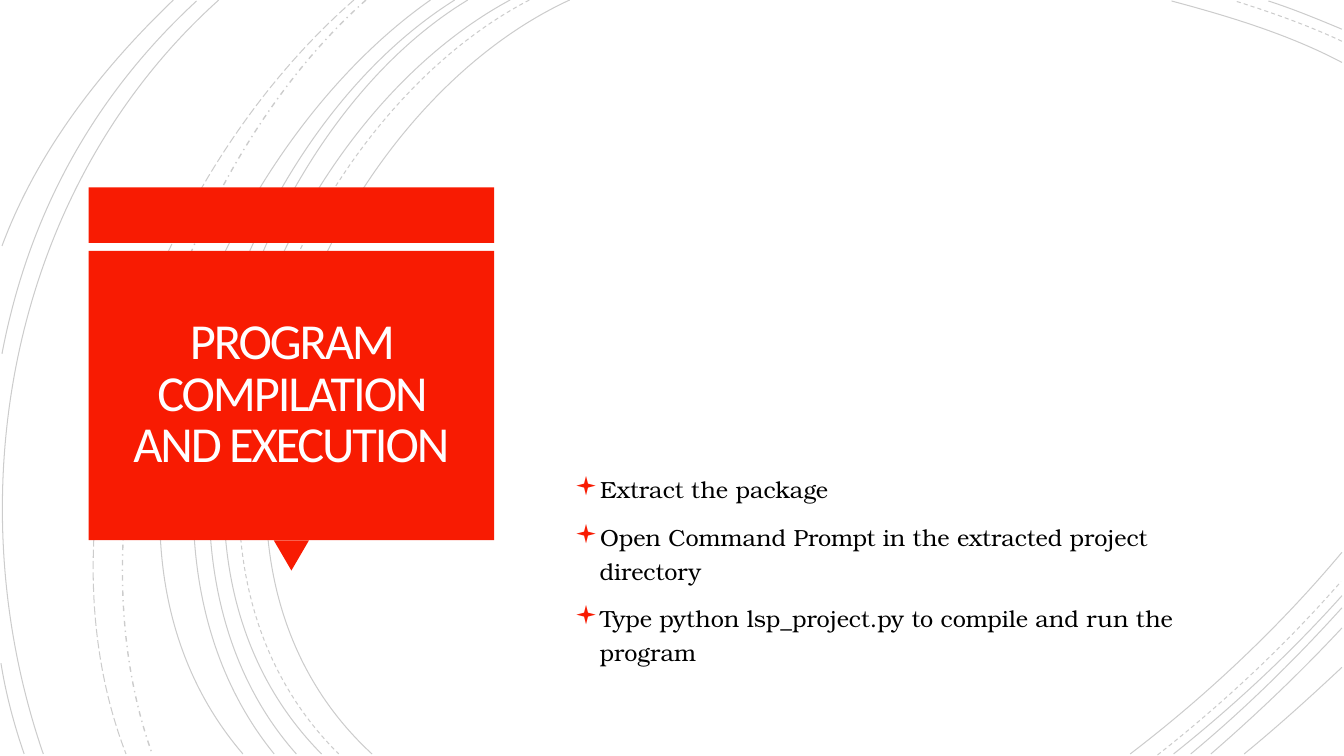
from lxml.etree import SubElement
from pptx import Presentation
from pptx.dml.color import RGBColor
from pptx.enum.dml import MSO_LINE
from pptx.enum.shapes import MSO_SHAPE
from pptx.enum.text import MSO_ANCHOR, PP_ALIGN
from pptx.oxml.ns import qn
from pptx.util import Inches, Pt

TITLE = "PROGRAM COMPILATION AND EXECUTION"
STEPS = [
    "Extract the package",
    "Open Command Prompt in the extracted project directory",
    "Type python lsp_project.py to compile and run the program",
]
COLORS = {"paper": "FFFFFF", "accent": "F81B02", "title": "FFFEFF", "ink": "000000"}
COLUMNS, ROWS = 13.33, 7.5

ARCS = {
    (MSO_LINE.SOLID, 0.75): [
        [(5.65, 0), (3.15, 1.15), (1.43, 5.4), (3.69, 7.48)],
        [(13.31, 0.62), (12.78, 0.34), (12.18, 0.16), (11.62, 0.01)],
        [(11.21, 7.48), (11.97, 6.9), (12.69, 6.22), (13.31, 5.48)],
        [(5.06, 0), (2.7, 1.27), (1.1, 5.37), (3.19, 7.48)],
        [(13.31, 0.29), (13.07, 0.19), (12.83, 0.09), (12.58, 0.01)],
        [(11.64, 7.48), (12.23, 7.01), (12.8, 6.48), (13.31, 5.91)],
        [(4.64, 0), (2.44, 1.33), (1.1, 5.41), (2.94, 7.48)],
        [(11.81, 7.48), (12.34, 7.04), (12.84, 6.55), (13.31, 6.03)],
        [(4.51, 0), (2.31, 1.38), (0.97, 5.33), (2.72, 7.48)],
        [(12.01, 7.48), (12.46, 7.09), (12.9, 6.67), (13.31, 6.23)],
        [(4.27, 0), (2.17, 1.47), (0.53, 5.29), (2.41, 7.48)],
        [(12.34, 7.48), (12.67, 7.21), (12.99, 6.92), (13.31, 6.62)],
        [(2.17, 0), (0.11, 1.85), (-0.46, 4.9), (0.43, 7.48)],
        [(1.95, 0.01), (0.92, 0.96), (0.28, 2.14), (0.02, 3.51)],
        [(0.01, 6.58), (0.06, 6.89), (0.14, 7.19), (0.24, 7.48)],
        [(1.72, 0), (1, 0.69), (0.37, 1.5), (0.02, 2.44)],
    ],
    (MSO_LINE.DASH, 0.75): [
        [(5.25, 0), (2.85, 1.25), (1.23, 5.37), (3.36, 7.48)],
        [(13.31, 0.41), (12.97, 0.25), (12.6, 0.12), (12.25, 0.01)],
        [(11.48, 7.49), (12.13, 6.98), (12.75, 6.4), (13.3, 5.77)],
    ],
    (MSO_LINE.DASH_DOT, 1): [[(3.63, 0), (1.76, 1.66), (0.65, 5.09), (1.51, 7.48)]],
    (MSO_LINE.LONG_DASH, 0.75): [[(3.51, 0), (1.57, 1.69), (0.29, 4.99), (1.25, 7.48)]],
}
ARC_OPACITY = "20000"

CARD_LEFT, CARD_WIDTH = 0.88, 4.02
BAND_TOP, BAND_HEIGHT = 1.86, 0.55
PANEL_TOP, PANEL_HEIGHT = 2.49, 2.87
POINTER_WIDTH, POINTER_HEIGHT = 0.35, 0.3
TITLE_MARGIN = 0.09
STEPS_AREA = (5.6, 4.66, 6.87, 1.95)

TITLE_FONT = {"name": "Calibri", "size": Pt(36)}
STEP_FONT = {"name": "TeX Gyre Bonum", "size": Pt(16.7)}
TITLE_FRAME = {
    "word_wrap": True,
    "vertical_anchor": MSO_ANCHOR.MIDDLE,
    **{f"margin_{side}": Inches(0.25) for side in ("left", "top", "right", "bottom")},
}
STEPS_FRAME = {"word_wrap": True, "vertical_anchor": MSO_ANCHOR.MIDDLE}


def apply(target, values):
    for name, value in values.items():
        setattr(target, name, value)


def color(name):
    return RGBColor.from_string(COLORS[name])


def add_arc(slide, controls, dash, width):
    start, *others = [tuple(map(Inches, point)) for point in controls]
    outline = slide.shapes.build_freeform(*start)
    outline.add_line_segments(others, close=False)
    arc = outline.convert_to_shape()
    segments = list(arc._element.iter(qn("a:lnTo")))
    curve = SubElement(segments[0].getparent(), qn("a:cubicBezTo"))
    for segment in segments:
        curve.append(segment[0])
        segment.getparent().remove(segment)
    arc.shadow.inherit = False
    arc.fill.background()
    arc.line.color.rgb = color("ink")
    apply(arc.line, {"width": Pt(width), "dash_style": dash})
    ink = arc.line.fill._xPr.find(f".//{qn('a:srgbClr')}")
    SubElement(ink, qn("a:alpha"), val=ARC_OPACITY)


def add_block(slide, kind, fill, *area):
    block = slide.shapes.add_shape(kind, *map(Inches, area))
    block.shadow.inherit = False
    block.fill.solid()
    block.fill.fore_color.rgb = color(fill)
    block.line.fill.background()
    return block


def add_frame(slide, area, values):
    frame = slide.shapes.add_textbox(*map(Inches, area)).text_frame
    apply(frame, values)
    return frame


def add_bullet(paragraph):
    properties = paragraph._p.get_or_add_pPr()
    indents = {"marL": Inches(0.25), "indent": -Inches(0.25)}
    for name, value in indents.items():
        properties.set(name, str(value))
    tint = SubElement(properties, qn("a:buClr"))
    SubElement(tint, qn("a:srgbClr"), val=COLORS["accent"])
    SubElement(properties, qn("a:buSzPct"), val="110000")
    SubElement(properties, qn("a:buFont"), typeface="Wingdings")
    SubElement(properties, qn("a:buChar"), char="▪")


def add_card(slide):
    add_block(slide, MSO_SHAPE.RECTANGLE, "accent",
              CARD_LEFT, BAND_TOP, CARD_WIDTH, BAND_HEIGHT)
    pointer_left = CARD_LEFT + (CARD_WIDTH - POINTER_WIDTH) / 2
    pointer = add_block(slide, MSO_SHAPE.ISOSCELES_TRIANGLE, "accent", pointer_left,
                        PANEL_TOP + PANEL_HEIGHT, POINTER_WIDTH, POINTER_HEIGHT)
    pointer.rotation = 180
    add_block(slide, MSO_SHAPE.RECTANGLE, "accent",
              CARD_LEFT, PANEL_TOP, CARD_WIDTH, PANEL_HEIGHT)
    title_area = (CARD_LEFT + TITLE_MARGIN, PANEL_TOP + TITLE_MARGIN,
                  CARD_WIDTH - 2 * TITLE_MARGIN, PANEL_HEIGHT - 2 * TITLE_MARGIN)
    heading = add_frame(slide, title_area, TITLE_FRAME).paragraphs[0]
    apply(heading, {"alignment": PP_ALIGN.CENTER, "line_spacing": 0.85})
    title = heading.add_run()
    title.text = TITLE
    apply(title.font, TITLE_FONT)
    title.font.color.rgb = color("title")
    title._r.get_or_add_rPr().set("spc", "-150")


def add_steps(slide):
    frame = add_frame(slide, STEPS_AREA, STEPS_FRAME)
    for index, text in enumerate(STEPS):
        step = frame.add_paragraph() if index else frame.paragraphs[0]
        add_bullet(step)
        step.text = text
        apply(step, {"line_spacing": 1.2, "space_before": Pt(10 if index else 0)})
        apply(step.font, STEP_FONT)
        step.font.color.rgb = color("ink")


def main():
    deck = Presentation()
    apply(deck, {"slide_width": Inches(COLUMNS), "slide_height": Inches(ROWS)})
    slide = deck.slides.add_slide(deck.slide_layouts[6])
    add_block(slide, MSO_SHAPE.RECTANGLE, "paper", 0, 0, COLUMNS, ROWS)
    for (dash, width), arcs in ARCS.items():
        for controls in arcs:
            add_arc(slide, controls, dash, width)
    add_card(slide)
    add_steps(slide)
    deck.save("out.pptx")


if __name__ == "__main__":
    main()
